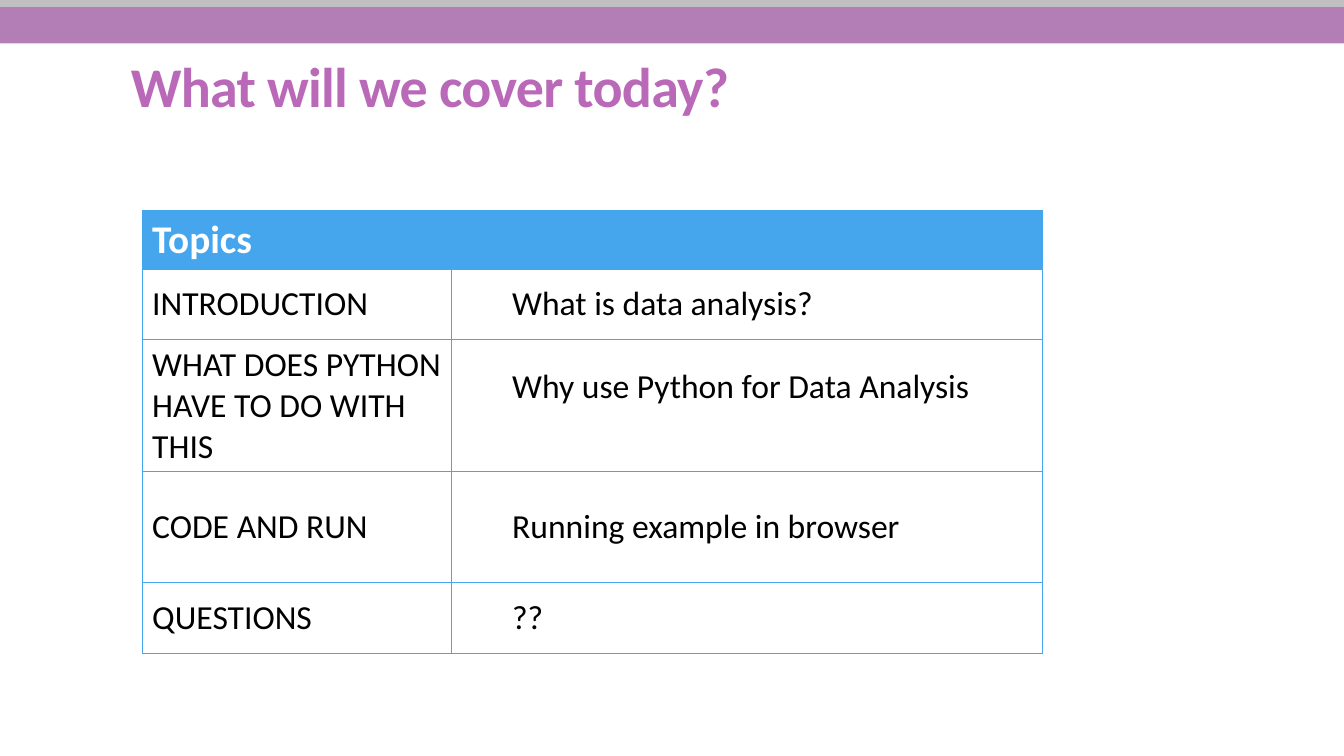
"""Build the agenda slide: two top bars, a title and a table of topics."""
from dataclasses import dataclass
from typing import NamedTuple

from lxml import etree
from pptx import Presentation
from pptx.dml.color import RGBColor
from pptx.enum.shapes import MSO_SHAPE
from pptx.enum.text import MSO_ANCHOR
from pptx.oxml.ns import qn
from pptx.util import Inches, Pt

RECT = MSO_SHAPE.RECTANGLE
MIDDLE = MSO_ANCHOR.MIDDLE
BOTTOM = MSO_ANCHOR.BOTTOM


@dataclass(frozen=True)
class Theme:
    font: str = "Calibri"
    title: str = "BA69B8"
    bar: str = "B27EB5"
    strip: str = "C0C0C0"
    accent: str = "45A5ED"
    ink: str = "000000"
    paper: str = "FFFFFF"
    title_size: int = 40
    header_size: int = 28
    body_size: int = 24


class Bar(NamedTuple):
    top: float
    height: float
    color: str


class Topic(NamedTuple):
    name: str
    detail: str
    height: float
    detail_bottom: float = 0.05


THEME = Theme()
WIDTH, HEIGHT = 13.33, 7.5
BARS = [Bar(0.06, 0.37, THEME.bar), Bar(0, 0.07, THEME.strip)]
COLUMNS = [3.07, 5.86]
HEADER_HEIGHT = 0.58
TOPICS = [
    Topic("INTRODUCTION", "What is data analysis?", 0.7),
    Topic("WHAT DOES PYTHON HAVE TO DO WITH THIS", "Why use Python for Data Analysis", 1.31, 0.41),
    Topic("CODE AND RUN", "Running example in browser", 1.1),
    Topic("QUESTIONS", "??", 0.7),
]


def add_bar(s, bar: Bar) -> None:
    """Draw a full-width bar."""
    sp = s.shapes.add_shape(RECT, 0, Inches(bar.top), Inches(WIDTH), Inches(bar.height))
    sp.shadow.inherit = False
    sp.fill.solid()
    sp.fill.fore_color.rgb = RGBColor.from_string(bar.color)
    sp.line.fill.background()


def add_run(p, text: str, size: int, color: str, bold: bool = False):
    """Append a styled run to a paragraph and return it."""
    r = p.add_run()
    r.text = text
    r.font.name = THEME.font
    r.font.size = Pt(size)
    r.font.bold = bold
    r.font.color.rgb = RGBColor.from_string(color)
    return r


def add_title(s, text: str) -> None:
    """Add the slide title with slightly tightened letters."""
    sp = s.shapes.add_textbox(Inches(1.2), Inches(0.45), Inches(11), Inches(0.78))
    tf = sp.text_frame
    tf.word_wrap = True
    tf.vertical_anchor = BOTTOM
    p = tf.paragraphs[0]
    p.line_spacing = 0.85
    r = add_run(p, text, THEME.title_size, THEME.title, bold=True)
    r.font._element.set("spc", "-50")


def add_borders(cell) -> None:
    """Outline a cell on all four sides."""
    tc_pr = cell._tc.get_or_add_tcPr()
    for side in ("lnL", "lnR", "lnT", "lnB"):
        ln = etree.SubElement(tc_pr, qn(f"a:{side}"), w=str(Pt(1)))
        fill = etree.SubElement(ln, qn("a:solidFill"))
        etree.SubElement(fill, qn("a:srgbClr"), val=THEME.accent)


def style_cell(cell, fill: str | None = None) -> None:
    """Set the borders, fill and anchor of a cell."""
    add_borders(cell)
    cell.vertical_anchor = MIDDLE
    if fill:
        cell.fill.solid()
        cell.fill.fore_color.rgb = RGBColor.from_string(fill)
    else:
        cell.fill.background()


def add_topics(s, topics: list[Topic]) -> None:
    """Add the table with a merged header and one row per topic."""
    heights = [HEADER_HEIGHT] + [topic.height for topic in topics]
    frame = s.shapes.add_table(len(heights), len(COLUMNS), Inches(1.41), Inches(2.09),
                               Inches(sum(COLUMNS)), Inches(sum(heights)))
    table = frame.table
    table.first_row = False
    table.horz_banding = False
    for column, width in zip(table.columns, COLUMNS):
        column.width = Inches(width)
    for row, height in zip(table.rows, heights):
        row.height = Inches(height)

    header = table.cell(0, 0)
    header.merge(table.cell(0, 1))
    for cell in table.rows[0].cells:
        style_cell(cell, THEME.accent)
    add_run(header.text_frame.paragraphs[0], "Topics", THEME.header_size, THEME.paper, bold=True)

    for i, topic in enumerate(topics, start=1):
        name, detail = table.cell(i, 0), table.cell(i, 1)
        for cell, text in ((name, topic.name), (detail, topic.detail)):
            style_cell(cell)
            add_run(cell.text_frame.paragraphs[0], text, THEME.body_size, THEME.ink)
        detail.margin_bottom = Inches(topic.detail_bottom)
        p = detail.text_frame.paragraphs[0]
        p.level = 1
        p_pr = p._p.get_or_add_pPr()
        p_pr.set("marL", str(Inches(0.5)))
        p_pr.set("indent", "0")


def main() -> None:
    """Build and save the slide."""
    prs = Presentation()
    prs.slide_width, prs.slide_height = Inches(WIDTH), Inches(HEIGHT)
    s = prs.slides.add_slide(prs.slide_layouts[6])
    for bar in BARS:
        add_bar(s, bar)
    add_title(s, "What will we cover today?")
    add_topics(s, TOPICS)
    prs.save("out.pptx")


main()
